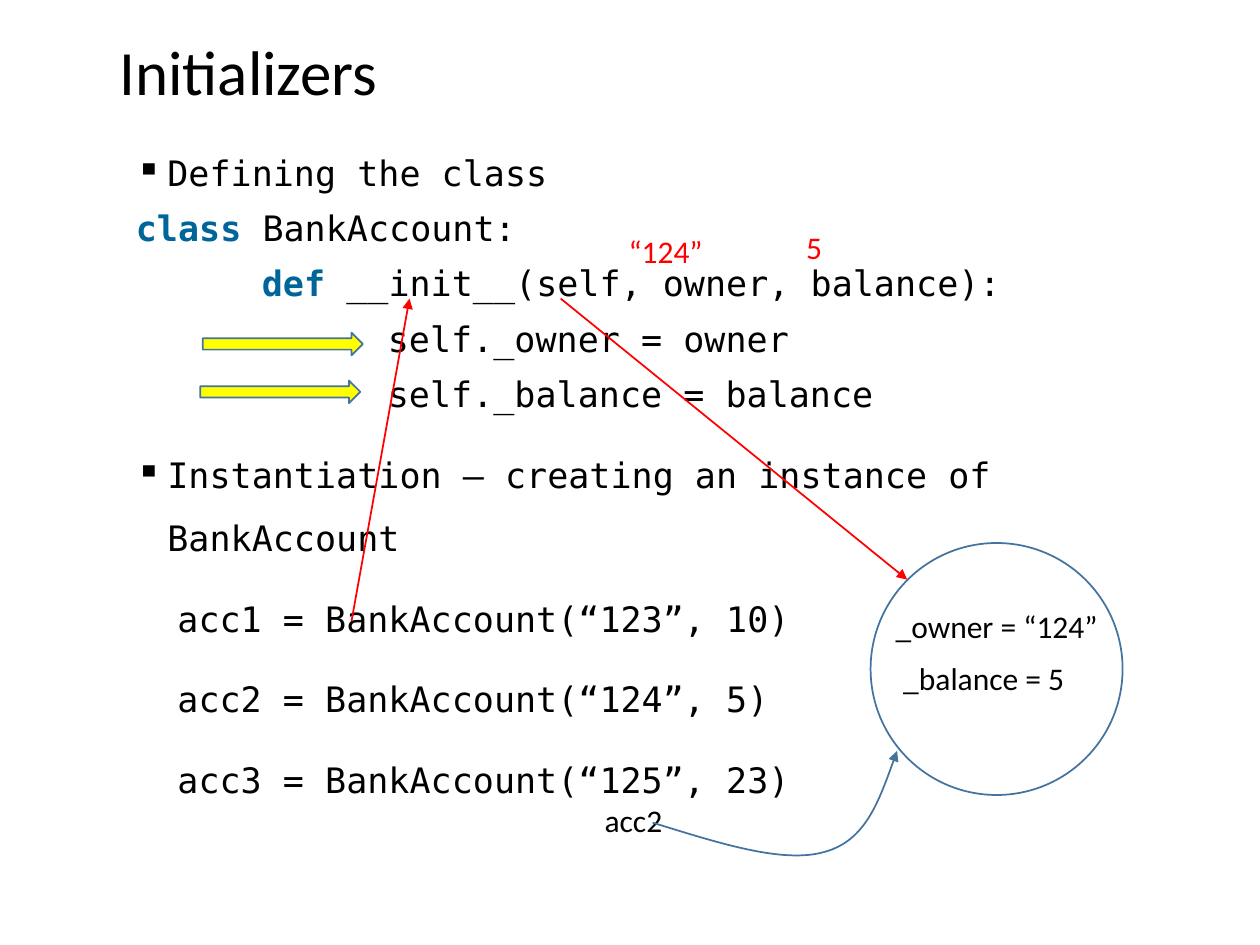
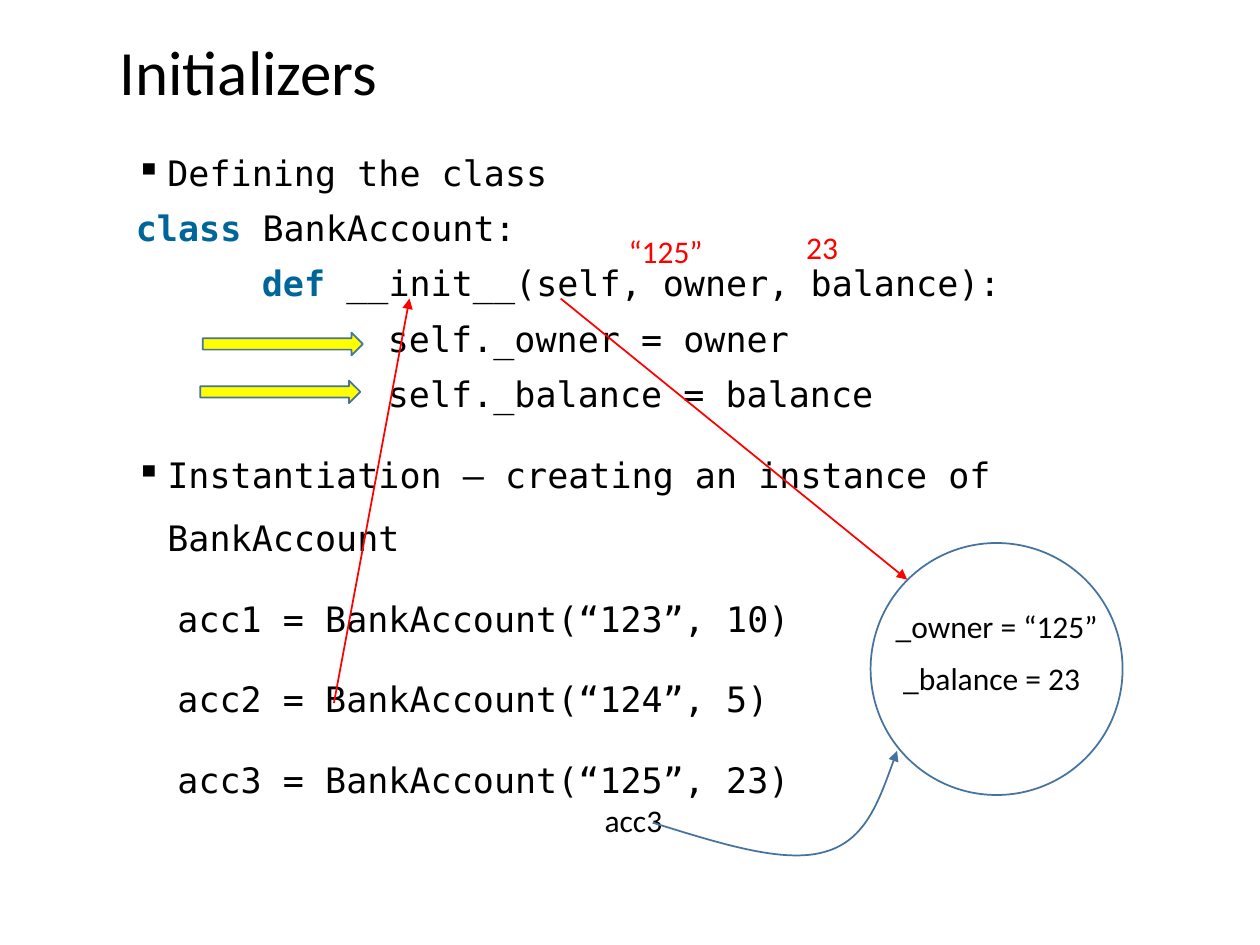
from dataclasses import dataclass

from lxml import etree
from pptx import Presentation
from pptx.dml.color import RGBColor
from pptx.enum import shapes, text
from pptx.oxml import ns
from pptx.util import Inches, Pt

BLACK = RGBColor(0x00, 0x00, 0x00)
RED = RGBColor(0xFF, 0x00, 0x00)
YELLOW = RGBColor(0xFF, 0xFF, 0x00)
OUTLINE = RGBColor(0x43, 0x73, 0x9E)
KEYWORD = RGBColor(0x00, 0x66, 0x99)
SANS = "Calibri"
MONO = "DejaVu Sans Mono"
BULLET_INDENT = 0.25
ACCOUNT_INDENT = 0.33

Point = tuple[float, float]
Box = tuple[float, float, float, float]


@dataclass
class CodeLine:
    content: str
    indent: float = 0
    keyword: str = ""
    spacing: float = 0.9
    bullet: bool = False


@dataclass
class Call:
    """The account that is being created on one slide."""
    account: str
    owner: str
    balance: str
    balance_width: float
    arrow_start: Point


CODE = [
    CodeLine("Defining the class", BULLET_INDENT, spacing=1.5, bullet=True),
    CodeLine(" BankAccount:", keyword="class"),
    CodeLine(" __init__(self, owner, balance):", 1, keyword="def"),
    CodeLine("self._owner = owner", 2),
    CodeLine("self._balance = balance", 2),
    CodeLine("Instantiation – creating an instance of BankAccount",
             BULLET_INDENT, spacing=1.5, bullet=True),
    CodeLine("acc1 = BankAccount(“123”, 10)", ACCOUNT_INDENT, spacing=1.5),
    CodeLine("acc2 = BankAccount(“124”, 5)", ACCOUNT_INDENT, spacing=1.5),
    CodeLine("acc3 = BankAccount(“125”, 23)", ACCOUNT_INDENT, spacing=1.5),
]
CALLS = [
    Call("acc2", "“124”", "5", 0.33, (2.79, 4.93)),
    Call("acc3", "“125”", "23", 0.46, (2.65, 5.58)),
]
# Start point, then two control points and an end point for each curve
REFERENCE_CURVE = [(5.18, 6.53),
                   (5.7, 6.69), (6.22, 6.86), (6.55, 6.76),
                   (6.87, 6.67), (6.99, 6.32), (7.12, 5.96)]


def add_text_box(slide, box: Box, wrap: bool = True):
    frame = slide.shapes.add_textbox(*map(Inches, box)).text_frame
    frame.word_wrap = wrap
    return frame


def set_font(paragraph, name: str, size: float, colour: RGBColor) -> None:
    font = paragraph.font
    font.name, font.size = name, Pt(size)
    font.color.rgb = colour


def add_title(slide, title: str) -> None:
    frame = add_text_box(slide, (0.85, 0.01, 8.62, 1.17))
    frame.vertical_anchor = text.MSO_ANCHOR.MIDDLE
    paragraph = frame.paragraphs[0]
    paragraph.text = title
    paragraph.line_spacing = 0.9
    set_font(paragraph, SANS, 36, BLACK)


def add_label(slide, label: str, box: Box, colour: RGBColor = BLACK,
              wrap: bool = True) -> None:
    frame = add_text_box(slide, box, wrap)
    frame.auto_size = text.MSO_AUTO_SIZE.SHAPE_TO_FIT_TEXT
    paragraph = frame.paragraphs[0]
    paragraph.text = label
    set_font(paragraph, SANS, 18, colour)


def add_code(slide, lines: list[CodeLine]) -> None:
    frame = add_text_box(slide, (0.98, 0.99, 8.62, 5.97))
    for index, line in enumerate(lines):
        paragraph = frame.add_paragraph() if index else frame.paragraphs[0]
        paragraph.line_spacing = line.spacing
        paragraph.space_before = Pt(10)
        properties = paragraph._p.get_or_add_pPr()
        properties.set("marL", str(Inches(line.indent)))
        properties.set("indent", str(-Inches(line.indent) if line.bullet else 0))
        if line.bullet:
            etree.SubElement(properties, ns.qn("a:buChar")).set("char", "▪")
        set_font(paragraph, MONO, 20, BLACK)
        if line.keyword:
            run = paragraph.add_run()
            run.text = line.keyword
            run.font.bold = True
            run.font.color.rgb = KEYWORD
        paragraph.add_run().text = line.content


def set_line(shape, colour: RGBColor, arrow: bool = False) -> None:
    shape.line.color.rgb = colour
    shape.line.width = Pt(1)
    if arrow:
        line = shape.line._get_or_add_ln()
        etree.SubElement(line, ns.qn("a:tailEnd")).set("type", "triangle")


def add_preset(slide, kind: shapes.MSO_SHAPE, box: Box,
               fill: RGBColor | None = None) -> None:
    shape = slide.shapes.add_shape(kind, *map(Inches, box))
    shape.shadow.inherit = False
    if fill is None:
        shape.fill.background()
    else:
        shape.fill.solid()
        shape.fill.fore_color.rgb = fill
    set_line(shape, OUTLINE)


def add_arrow(slide, start: Point, end: Point) -> None:
    connector = slide.shapes.add_connector(
        shapes.MSO_CONNECTOR.STRAIGHT, *map(Inches, start + end))
    set_line(connector, RED, arrow=True)
    etree.SubElement(connector._element.spPr, ns.qn("a:effectLst"))


def add_curved_arrow(slide, points: list[Point]) -> None:
    start, *rest = [(Inches(x), Inches(y)) for x, y in points]
    builder = slide.shapes.build_freeform(*start)
    builder.add_line_segments(rest, close=False)
    shape = builder.convert_to_shape()
    # Join every three segments into one cubic curve
    segments = list(shape._element.iter(ns.qn("a:lnTo")))
    outline = segments[0].getparent()
    for first in range(0, len(segments), 3):
        curve = etree.SubElement(outline, ns.qn("a:cubicBezTo"))
        for segment in segments[first:first + 3]:
            curve.append(segment[0])
            outline.remove(segment)
    shape.shadow.inherit = False
    shape.fill.background()
    set_line(shape, OUTLINE, arrow=True)


def add_call_slide(presentation, call: Call) -> None:
    slide = presentation.slides.add_slide(presentation.slide_layouts[6])
    add_title(slide, "Initializers")
    add_code(slide, CODE)

    # New object, and arrows from the call to it
    add_preset(slide, shapes.MSO_SHAPE.OVAL, (6.91, 4.31, 2, 2))
    add_arrow(slide, call.arrow_start, (3.25, 2.37))
    add_arrow(slide, (4.45, 2.37), (7.2, 4.6))

    # Argument values above the parameters
    add_label(slide, call.owner, (4.89, 1.79, 0.8, 0.4), RED, wrap=False)
    add_label(slide, call.balance, (6.3, 1.76, call.balance_width, 0.4),
              RED, wrap=False)

    # Assignments and the attributes they set
    for left, top in [(1.61, 2.64), (1.59, 3.02)]:
        add_preset(slide, shapes.MSO_SHAPE.RIGHT_ARROW,
                   (left, top, 1.27, 0.18), YELLOW)
    add_label(slide, f"_owner = {call.owner}", (7.01, 4.77, 2.09, 0.4))
    add_label(slide, f"_balance = {call.balance}", (7.07, 5.18, 2.09, 0.4))

    # Variable that refers to the object
    add_label(slide, call.account, (4.7, 6.31, 0.7, 0.4))
    add_curved_arrow(slide, REFERENCE_CURVE)


presentation = Presentation()
presentation.slide_width = Inches(10)
presentation.slide_height = Inches(7.5)
for call in CALLS:
    add_call_slide(presentation, call)
presentation.save("out.pptx")
